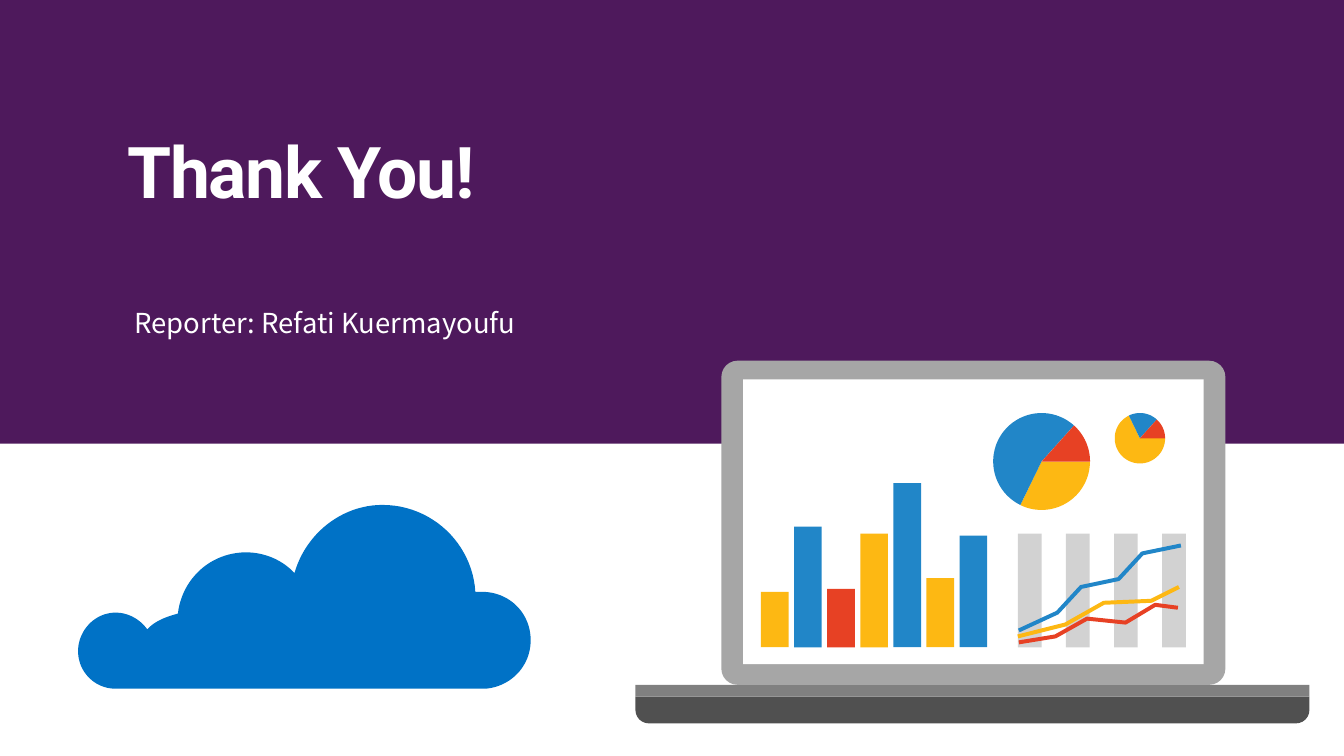
from math import cos, radians, sin

from pptx import Presentation
from pptx.dml.color import RGBColor
from pptx.enum.shapes import MSO_SHAPE
from pptx.enum.text import MSO_ANCHOR, MSO_AUTO_SIZE, PP_ALIGN
from pptx.util import Pt

RECT = MSO_SHAPE.RECTANGLE
ROUNDED = MSO_SHAPE.ROUNDED_RECTANGLE
ROUND_2_SAME = MSO_SHAPE.ROUND_2_SAME_RECTANGLE
TOP, LEFT, NO_FIT = MSO_ANCHOR.TOP, PP_ALIGN.LEFT, MSO_AUTO_SIZE.NONE
TITLE_ONLY = 5
PX = 9144  # 100 px to the inch

COLORS = {
    "purple": "4E195C", "white": "FFFFFF", "cloud": "0072C6",
    "base": "505050", "hinge": "808080", "frame": "A6A6A6", "stripe": "D2D2D2",
    "yellow": "FDB813", "red": "E74124", "blue": "2186C8",
}


def px(length):
    return round(length * PX)


def color(name):
    return RGBColor.from_string(COLORS[name])


def paint(shape, fill):
    shape.shadow.inherit = False
    shape.fill.solid()
    shape.fill.fore_color.rgb = color(fill)
    shape.line.fill.background()


def add_block(slide, box, fill, kind=RECT):
    block = slide.shapes.add_shape(kind, *map(px, box))
    paint(block, fill)
    return block


def add_outline(slide, left, top, points, close=True):
    emu = [(px(left + x), px(top + y)) for x, y in points]
    builder = slide.shapes.build_freeform(*emu[0], scale=1.0)
    builder.add_line_segments(emu[1:], close=close)
    return builder.convert_to_shape()


def write_line(shape, box, text, font, size, insets, space_after=0):
    shape.left, shape.top, shape.width, shape.height = map(px, box)
    frame = shape.text_frame
    frame.word_wrap, frame.auto_size, frame.vertical_anchor = True, NO_FIT, TOP
    frame.margin_left = frame.margin_right = px(insets[0])
    frame.margin_top = frame.margin_bottom = px(insets[1])
    paragraph = frame.paragraphs[0]
    paragraph.alignment, paragraph.line_spacing = LEFT, 0.9
    paragraph.space_before, paragraph.space_after = Pt(0), Pt(space_after)
    run = paragraph.add_run()
    run.text = text
    run.font.name, run.font.size = font, Pt(size)
    run.font.color.rgb = color("white")
    return run


def add_header(slide, left, top, width, height):
    # Purple band behind the title
    band = add_block(slide, (left, top, width, height), "purple")
    title = slide.shapes.title
    band.element.addnext(title.element)
    thanks = write_line(title, (left + 113, top + 128, 941, 227),
                        "Thank You!", "Roboto", 52, (16, 10))
    thanks.font.bold = True
    thanks.font._element.set("spc", "-100")

    # Reporter line
    reporter_box = (left + 116, top + 297, 533, 62)
    reporter = slide.shapes.add_textbox(*map(px, reporter_box))
    write_line(reporter, reporter_box, "Reporter: Refati Kuermayoufu",
               "Noto Sans CJK SC", 20, (20, 16), space_after=6)


def add_bars(slide, left, bottom):
    bars = [("yellow", 56), ("blue", 122), ("red", 59), ("yellow", 115),
            ("blue", 166), ("yellow", 70), ("blue", 113)]
    for i, (fill, height) in enumerate(bars):
        add_block(slide, (left + 33.5 * i, bottom - height, 28, height), fill)


def add_trends(slide, left, top, height):
    for i in range(4):
        add_block(slide, (left + 48.67 * i, top, 24, height), "stripe")
    trends = {
        "yellow": [(0, 104), (48, 92), (87, 70), (135, 68), (163, 54)],
        "blue": [(1, 98), (40, 80), (64, 54), (102, 46), (126, 20), (165, 12)],
        "red": [(1, 110), (38, 104), (70, 86), (109, 90), (139, 72), (162, 75)],
    }
    for name, points in trends.items():
        trend = add_outline(slide, left, top, points, close=False)
        trend.shadow.inherit = False
        trend.fill.background()
        trend.line.color.rgb = color(name)
        trend.line.width = px(4)


def add_pie(slide, left, top, diameter, slices):
    """Slices run clockwise from the right; each gives its end angle."""
    radius, start = diameter / 2, 0
    for fill, end in slices:
        angles = [radians(start + (end - start) * i / 40) for i in range(41)]
        rim = [(radius * cos(a), radius * sin(a)) for a in angles]
        paint(add_outline(slide, left + radius, top + radius, [(0, 0)] + rim), fill)
        start = end


def add_laptop(slide, left, top):
    # Body
    base = add_block(slide, (left, top + 340, 682, 27), "base", ROUND_2_SAME)
    base.adjustments[0], base.adjustments[1] = 0, 0.5
    add_block(slide, (left, top + 328, 682, 12), "hinge")
    frame = add_block(slide, (left + 87, top, 510, 328), "frame", ROUNDED)
    frame.adjustments[0] = 0.05
    screen_left, screen_top = left + 109, top + 19
    add_block(slide, (screen_left, screen_top, 466, 288), "white")

    # Charts drawn on the screen
    add_bars(slide, screen_left + 18, screen_top + 271)
    add_trends(slide, screen_left + 278, screen_top + 156, 115)
    add_pie(slide, screen_left + 253, screen_top + 34, 98,
            [("yellow", 116), ("blue", 312), ("red", 360)])
    add_pie(slide, screen_left + 376, screen_top + 34, 51,
            [("yellow", 244), ("blue", 312), ("red", 360)])


def bezier(p0, p1, p2, p3, steps=24):
    for i in range(1, steps + 1):
        t = i / steps
        weights = ((1 - t) ** 3, 3 * t * (1 - t) ** 2, 3 * t * t * (1 - t), t ** 3)
        yield tuple(sum(w * p[axis] for w, p in zip(weights, (p0, p1, p2, p3)))
                    for axis in (0, 1))


def add_cloud(slide, left, top):
    # Each segment is a straight end point or two handles and an end point
    segments = [
        [(402, 88)],
        [(399, 39), (358, 0), (308, 0)],
        [(266, 0), (230, 30), (219, 69)],
        [(207, 56), (189, 48), (170, 48)],
        [(134, 48), (105, 75), (101, 110)],
        [(90, 113), (78, 117), (70, 126)],
        [(63, 116), (51, 109), (38, 109)],
        [(17, 109), (0, 127), (0, 148)],
        [(0, 169), (17, 186), (38, 186)],
        [(412, 186)],
        [(438, 184), (458, 163), (458, 137)],
        [(458, 109), (436, 88), (409, 88)],
    ]
    outline = [(409, 88)]
    for segment in segments:
        outline += segment if len(segment) == 1 else bezier(outline[-1], *segment)
    paint(add_outline(slide, left, top, outline), "cloud")


def main():
    deck = Presentation()
    deck.slide_width, deck.slide_height = px(1360), px(765)
    slide = deck.slides.add_slide(deck.slide_layouts[TITLE_ONLY])
    add_header(slide, 0, 0, 1360, 449)
    add_laptop(slide, 643, 365)
    add_cloud(slide, 79, 511)
    deck.save("out.pptx")


if __name__ == "__main__":
    main()
